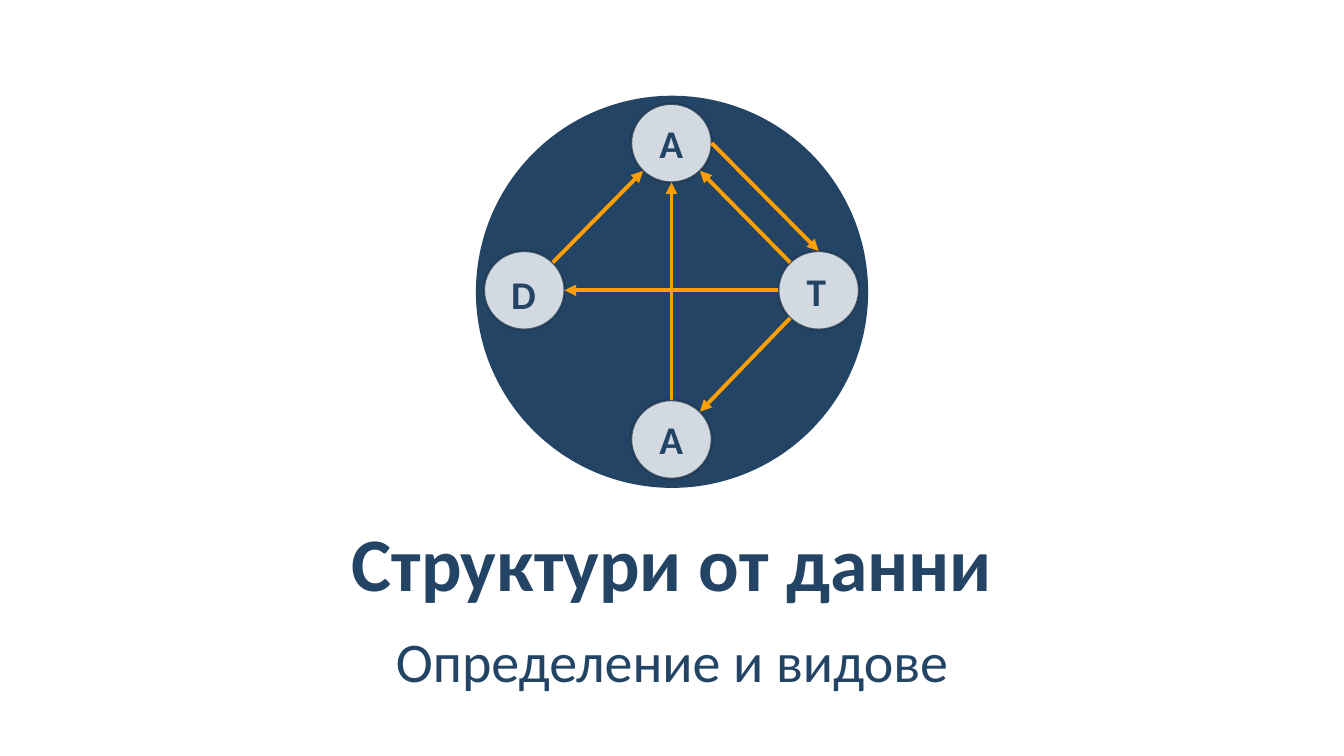
from dataclasses import dataclass
from math import cos, radians, sin

from lxml import etree
from pptx import Presentation
from pptx import util as u
from pptx.dml.color import RGBColor
from pptx.enum import shapes, text
from pptx.oxml.ns import qn

PX = 9144  # 100 px to the inch


@dataclass(frozen=True)
class Theme:
    font: str = "Calibri"
    navy: str = "234465"
    outline: str = "1A334C"
    white: str = "FFFFFF"
    orange: str = "FFA000"
    title: int = 54
    subtitle: int = 40
    label: int = 28
    ring: float = 1.5
    arrow: float = 2.75
    opacity: int = 80


THEME = Theme()
NODE_W, NODE_H = 80, 78
LABEL_W, LABEL_H = 56, 73

# name: (left, top, letter, label offset right, label offset down)
NODES = {
    "top": (626, 103, "A", 12, -1),
    "left": (480, 249, "D", 11, 3),
    "right": (772, 249, "T", 12, 0),
    "bottom": (626, 397, "A", 12, -2),
}

# (from node, angle on its rim, to node, angle on its rim); 0 is right, 90 is down
ARROWS = [
    ("left", -45, "top", 135),
    ("top", 0, "right", -90),
    ("right", 135, "bottom", -45),
    ("bottom", -90, "top", 90),
    ("right", 180, "left", 0),
    ("right", -135, "top", 45),
]


def px(*lengths):
    return [u.Emu(round(length * PX)) for length in lengths]


def write(box, words, size, bold=False, align=text.PP_ALIGN.LEFT,
          anchor=text.MSO_ANCHOR.TOP, insets=(12, 4), spacing=None,
          wrap=True, fit=text.MSO_AUTO_SIZE.NONE):
    frame = box.text_frame
    frame.word_wrap = wrap
    frame.auto_size = fit
    frame.vertical_anchor = anchor
    frame.margin_left, frame.margin_top = px(*insets)
    frame.margin_right, frame.margin_bottom = px(*insets)
    para = frame.paragraphs[0]
    para.alignment = align
    if spacing:
        para.line_spacing = spacing
    span = para.add_run()
    span.text = words
    span.font.name = THEME.font
    span.font.size = u.Pt(size)
    span.font.bold = bold
    span.font.color.rgb = RGBColor.from_string(THEME.navy)


def set_opacity(fill_format, percent):
    color = fill_format._xPr.find(qn("a:solidFill"))[0]
    etree.SubElement(color, qn("a:alpha"), val=str(percent * 1000))


def add_circle(slide, left, top, width, height, color, outline=None):
    circle = slide.shapes.add_shape(
        shapes.MSO_SHAPE.OVAL, *px(left, top, width, height))
    circle.shadow.inherit = False
    circle.fill.solid()
    circle.fill.fore_color.rgb = RGBColor.from_string(color)
    if outline is None:
        circle.line.fill.background()
        return
    circle.line.color.rgb = RGBColor.from_string(outline)
    circle.line.width = u.Pt(THEME.ring)
    set_opacity(circle.fill, THEME.opacity)
    set_opacity(circle.line.fill, THEME.opacity)


def add_node(slide, left, top, letter, shift_x, shift_y):
    add_circle(slide, left, top, NODE_W, NODE_H, THEME.white, THEME.outline)
    label = slide.shapes.add_textbox(
        *px(left + shift_x, top + shift_y, LABEL_W, LABEL_H))
    write(label, letter, THEME.label, bold=True, insets=(16, 12), spacing=1.1,
          wrap=False, fit=text.MSO_AUTO_SIZE.SHAPE_TO_FIT_TEXT)


def rim_point(name, angle):
    left, top = NODES[name][:2]
    turn = radians(angle)
    return px(left + NODE_W / 2 * (1 + cos(turn)),
              top + NODE_H / 2 * (1 + sin(turn)))


def add_arrow(slide, source, source_angle, target, target_angle):
    arrow = slide.shapes.add_connector(
        shapes.MSO_CONNECTOR.STRAIGHT,
        *rim_point(source, source_angle), *rim_point(target, target_angle))
    arrow.line.color.rgb = RGBColor.from_string(THEME.orange)
    arrow.line.width = u.Pt(THEME.arrow)
    etree.SubElement(arrow.line._get_or_add_ln(), qn("a:tailEnd"), type="triangle")
    etree.SubElement(arrow._element.spPr, qn("a:effectLst"))


def main():
    deck = Presentation()
    deck.slide_width, deck.slide_height = px(1333, 750)
    slide = deck.slides.add_slide(deck.slide_layouts[5])

    # Graph on its round backdrop
    add_circle(slide, 472, 95, 389, 389, THEME.navy)
    for node in NODES.values():
        add_node(slide, *node)
    for arrow in ARROWS:
        add_arrow(slide, *arrow)

    # Title and subtitle
    title = slide.shapes.title
    title.left, title.top, title.width, title.height = px(67, 515, 1199, 84)
    subtitle = slide.shapes.add_textbox(*px(67, 611, 1199, 84))
    centred = {"align": text.PP_ALIGN.CENTER, "anchor": text.MSO_ANCHOR.MIDDLE}
    write(title, "Структури от данни", THEME.title, bold=True, **centred)
    write(subtitle, "Определение и видове", THEME.subtitle, spacing=1.05, **centred)

    deck.save("out.pptx")


if __name__ == "__main__":
    main()
